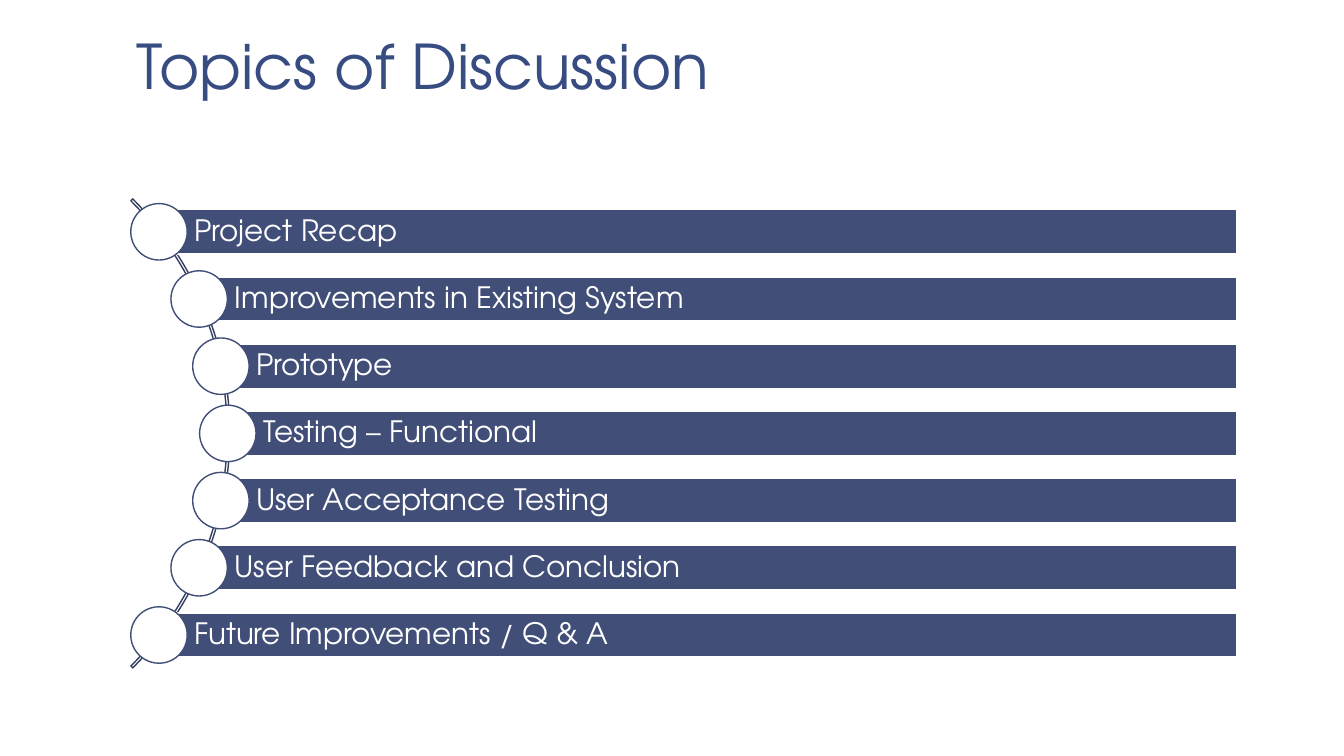
import math

import pptx
import pptx.dml.color
import pptx.enum.shapes
import pptx.enum.text
import pptx.util

Inches = pptx.util.Inches
Pt = pptx.util.Pt
RGBColor = pptx.dml.color.RGBColor
MSO_SHAPE = pptx.enum.shapes.MSO_SHAPE
MSO_ANCHOR = pptx.enum.text.MSO_ANCHOR
PP_ALIGN = pptx.enum.text.PP_ALIGN

TITLE = "Topics of Discussion"
TOPICS = [
    "Project Recap",
    "Improvements in Existing System",
    "Prototype",
    "Testing – Functional",
    "User Acceptance Testing",
    "User Feedback and Conclusion",
    "Future Improvements / Q & A",
]

FONT = "TeX Gyre Adventor"
WHITE = RGBColor(0xFF, 0xFF, 0xFF)
TITLE_BLUE = RGBColor(0x37, 0x4C, 0x81)
BAR_BLUE = RGBColor(0x41, 0x4E, 0x77)
ARC_BLUE = RGBColor(0x34, 0x3E, 0x5F)

ARC_CENTER_X, ARC_CENTER_Y = -1.01, 4.3
ARC_SIZE = 6.58
TOPIC_RADIUS = 3.27
ROW_PITCH = 2 / 3
BAR_HEIGHT = 0.44
BAR_RIGHT = 12.27
CIRCLE_SIZE = 0.56


def add_outlined_shape(slide, kind, left, top, width, height, fill, line):
    shape = slide.shapes.add_shape(
        kind, Inches(left), Inches(top), Inches(width), Inches(height))
    shape.shadow.inherit = False
    if fill is None:
        shape.fill.background()
    else:
        shape.fill.solid()
        shape.fill.fore_color.rgb = fill
    shape.line.color.rgb = line
    shape.line.width = Pt(1)
    return shape


def write_text(shape, text, size, color, spacing, anchor, margins):
    frame = shape.text_frame
    frame.word_wrap = True
    frame.vertical_anchor = anchor
    left, top, right, bottom = margins
    frame.margin_left, frame.margin_top = Inches(left), Inches(top)
    frame.margin_right, frame.margin_bottom = Inches(right), Inches(bottom)
    paragraph = frame.paragraphs[0]
    paragraph.text = text
    paragraph.alignment = PP_ALIGN.LEFT
    paragraph.line_spacing = spacing
    paragraph.font.name = FONT
    paragraph.font.size = Pt(size)
    paragraph.font.color.rgb = color


def add_topic(slide, index, topic):
    offset = (index - (len(TOPICS) - 1) / 2) * ROW_PITCH
    center_x = ARC_CENTER_X + math.sqrt(TOPIC_RADIUS ** 2 - offset ** 2)
    center_y = ARC_CENTER_Y + offset
    bar = add_outlined_shape(
        slide, MSO_SHAPE.RECTANGLE, center_x, center_y - BAR_HEIGHT / 2,
        BAR_RIGHT - center_x, BAR_HEIGHT, BAR_BLUE, WHITE)
    write_text(bar, topic, 21, WHITE, 0.9, MSO_ANCHOR.MIDDLE,
               (0.35, 0.06, 0.06, 0.06))
    add_outlined_shape(
        slide, MSO_SHAPE.OVAL, center_x - CIRCLE_SIZE / 2,
        center_y - CIRCLE_SIZE / 2, CIRCLE_SIZE, CIRCLE_SIZE, WHITE, BAR_BLUE)


def main():
    presentation = pptx.Presentation()
    presentation.slide_width = Inches(13.33)
    presentation.slide_height = Inches(7.5)
    slide = presentation.slides.add_slide(presentation.slide_layouts[6])

    title = slide.shapes.add_textbox(
        Inches(1.22), Inches(0.08), Inches(11.11), Inches(1))
    write_text(title, TITLE, 44, TITLE_BLUE, 0.85, MSO_ANCHOR.BOTTOM,
               (0.13, 0.07, 0.13, 0.07))

    arc = add_outlined_shape(
        slide, MSO_SHAPE.BLOCK_ARC, ARC_CENTER_X - ARC_SIZE / 2,
        ARC_CENTER_Y - ARC_SIZE / 2, ARC_SIZE, ARC_SIZE, None, ARC_BLUE)
    for position, value in enumerate((189, 27, 0.004)):
        arc.adjustments[position] = value

    for index, topic in enumerate(TOPICS):
        add_topic(slide, index, topic)

    presentation.save("out.pptx")


if __name__ == "__main__":
    main()
